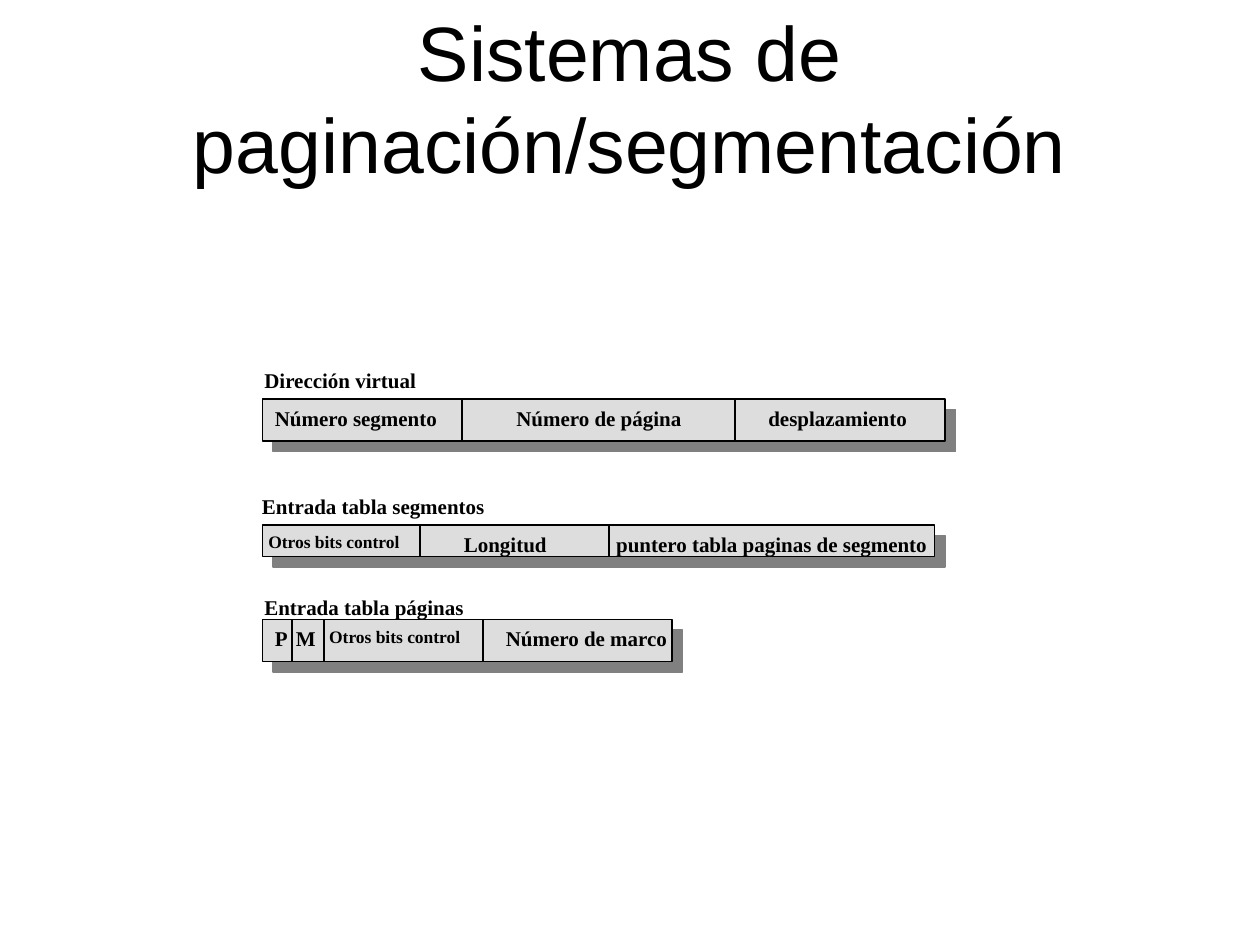
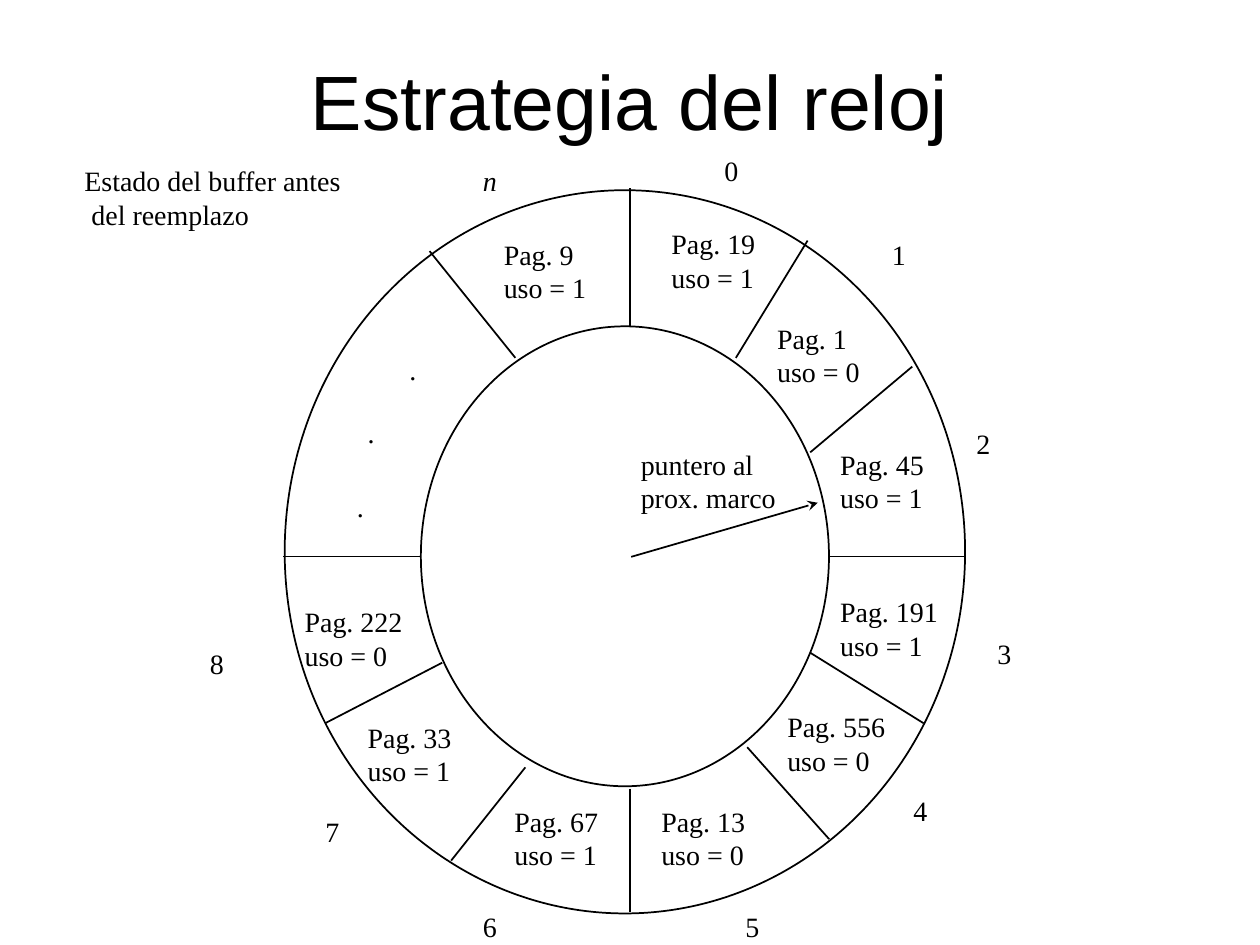
from lxml.etree import SubElement
from pptx import Presentation
from pptx.dml.color import RGBColor as RGB
from pptx.enum.shapes import MSO_CONNECTOR as CONN, MSO_SHAPE as SHAPE
from pptx.enum.text import MSO_ANCHOR as ANCHOR, MSO_AUTO_SIZE as AUTO, PP_ALIGN as ALIGN
from pptx.oxml.ns import qn
from pptx.util import Pt

COLORS = {"ink": "000000", "field": "DDDDDD", "shadow": "808080"}
TITLE_FONT, BODY_FONT = "Arial", "Times New Roman"

RECORDS = [
    dict(box=(150, 228, 390, 24), caption=("Dirección virtual", -6, -21.6, 102),
         dividers=[114, 270],
         fields=[("Número segmento", 0, 107.5, 12), ("Número de página", 138, 109.6, 12),
                 ("desplazamiento", 282, 94, 12)]),
    dict(box=(150, 300, 384, 18), caption=("Entrada tabla segmentos", -7.4, -21.6, 142.2),
         dividers=[90, 198],
         fields=[("Otros bits control", -3.8, 90, 10), ("Longitud", 108, 62.2, 12),
                 ("puntero tabla paginas de segmento", 195, 193, 12)]),
    dict(box=(150, 354, 234, 24), caption=("Entrada tabla páginas", -6, -18, 129.2),
         dividers=[17, 35, 126],
         fields=[("P", 0, 21.8, 12), ("M", 12, 26, 12),
                 ("Otros bits control", 31, 90, 10), ("Número de marco", 132, 107.5, 12)]),
]

FRAMES = [
    ("0", 244.1, -24.5, "19", 1, 213.9, 17.3),
    ("1", 339.9, 23.3, "1", 0, 274.3, 71.3),
    ("2", 388.1, 131.3, "45", 1, 310.3, 143.3),
    ("3", 400.1, 251.3, "191", 1, 310.3, 227.5),
    ("4", 352.1, 341.3, "556", 0, 280.1, 293.3),
    ("5", 256.1, 407.5, "13", 0, 208.1, 347.3),
    ("6", 106.1, 407.5, "67", 1, 124.1, 347.3),
    ("7", 16.1, 353.3, "33", 1, 40.3, 299.3),
    ("8", -49.9, 257.3, "222", 0, 4.3, 233.3),
    ("n", 106.1, -18.7, "9", 1, 118.1, 23.3),
]
SPOKES = [
    (197.3, 77.8, 197.3, -1.4), (257.8, 95.8, 298.8, 28.8), (300.3, 149.8, 358.6, 100.8),
    (311.8, 209.3, 388.8, 209.3), (300.3, 264.3, 365.1, 304.6), (264.3, 318.3, 311.1, 370.8),
    (197.3, 342, 197.3, 412.6), (137.5, 329.8, 95.1, 383.1), (90, 270, 23.1, 304.6),
    (77.8, 209.3, -1.2, 209.3), (131.8, 95.8, 82.8, 34.8),
]
POINTER = (198, 209.5, 304.6, 178.6)
DOTS = [(64.1, 89.3), (40.3, 125.3), (34.1, 167.3)]


def color(name):
    """Return the palette colour with this name."""
    return RGB.from_string(COLORS[name])


def add_text(s, text, x, y, w, h=None, size=16, font=BODY_FONT, bold=False, italic=False,
             align=ALIGN.LEFT, anchor=ANCHOR.TOP, wrap=False, last_indent=0):
    """Add a text box with one paragraph per line, as tall as its lines unless h is given."""
    lines = text.split("\n")
    height = h or len(lines) * size * 1.2 + 7.2
    tf = s.shapes.add_textbox(Pt(x), Pt(y), Pt(w), Pt(height)).text_frame
    tf.word_wrap = wrap
    tf.auto_size = AUTO.NONE if h else AUTO.SHAPE_TO_FIT_TEXT
    tf.vertical_anchor = anchor
    for i, line in enumerate(lines):
        p = tf.paragraphs[0] if i == 0 else tf.add_paragraph()
        p.alignment = align
        r = p.add_run()
        r.text = line
        f = r.font
        f.name, f.size, f.bold, f.italic = font, Pt(size), bold, italic
        f.color.rgb = color("ink")
    if last_indent:
        p._p.get_or_add_pPr().set("marL", str(Pt(last_indent)))


def add_title(s, text, x, y, w, h, anchor):
    """Add the slide title."""
    add_text(s, text, x, y, w, h, size=44, font=TITLE_FONT,
             align=ALIGN.CENTER, anchor=anchor, wrap=True)


def add_outline(s, kind, x, y, w, h, fill=None):
    """Add a thinly outlined shape, filled if a colour is named."""
    sp = s.shapes.add_shape(kind, Pt(x), Pt(y), Pt(w), Pt(h))
    sp.shadow.inherit = False
    if fill:
        sp.fill.solid()
        sp.fill.fore_color.rgb = color(fill)
    else:
        sp.fill.background()
    sp.line.color.rgb = color("ink")
    sp.line.width = Pt(1)
    return sp


def add_line(s, x1, y1, x2, y2, arrow=False):
    """Add a straight line, with a stealth head at its end if asked."""
    c = s.shapes.add_connector(CONN.STRAIGHT, Pt(x1), Pt(y1), Pt(x2), Pt(y2))
    c.line.color.rgb = color("ink")
    c.line.width = Pt(1)
    if arrow:
        SubElement(c.line._ln, qn("a:tailEnd"), type="stealth")
    SubElement(c._element.spPr, qn("a:effectLst"))


def add_hard_shadow(sp):
    """Give a shape a solid shadow down and to the right."""
    effects = sp._element.spPr.find(qn("a:effectLst"))
    shadow = SubElement(effects, qn("a:outerShdw"), blurRad="0", dist=str(Pt(8.5)),
                        dir=str(45 * 60000), algn="ctr", rotWithShape="0")
    SubElement(shadow, qn("a:srgbClr"), val=COLORS["shadow"])


def add_record(s, box, caption, dividers, fields):
    """Draw a captioned bar split into bit fields."""
    x, y, w, h = box
    add_hard_shadow(add_outline(s, SHAPE.RECTANGLE, x, y, w, h, fill="field"))
    text, dx, dy, text_w = caption
    add_text(s, text, x + dx, y + dy, text_w, size=12, bold=True)
    for dx in dividers:
        add_line(s, x + dx, y, x + dx, y + h)
    for text, dx, text_w, size in fields:
        add_text(s, text, x + dx, y, text_w, size=size, bold=True)


def add_clock(s, x, y, w, h):
    """Draw the ring of page frames and the pointer to the next one."""
    band = 77.8
    add_outline(s, SHAPE.OVAL, x, y, w, h)
    add_outline(s, SHAPE.OVAL, x + band, y + band, w - 2 * band, h - 150.5)
    for x1, y1, x2, y2 in SPOKES:
        add_line(s, x + x1, y + y1, x + x2, y + y2)
    for label, lx, ly, page, use, px, py in FRAMES:
        add_text(s, label, x + lx, y + ly, 22.6, italic=label == "n")
        add_text(s, f"Pag. {page}\nuso = {use}", x + px, y + py,
                 max(61.8, 46.8 + 8 * len(page)))
    for dx, dy in DOTS:
        add_text(s, ".", x + dx, y + dy, 18.4)
    x1, y1, x2, y2 = POINTER
    add_line(s, x + x1, y + y1, x + x2, y + y2, arrow=True)
    add_text(s, "puntero al\nprox. marco", x + 196.4, y + 143.3, 91.6)


def build_records_slide(s):
    """Build the slide on combined paging and segmentation."""
    add_title(s, "Sistemas de paginación/segmentación", 36, 21.6, 648, 90, ANCHOR.BOTTOM)
    for record in RECORDS:
        add_record(s, **record)


def build_clock_slide(s):
    """Build the slide on the clock strategy."""
    add_title(s, "Estrategia del reloj", 54, 12, 612, 90, ANCHOR.MIDDLE)
    add_text(s, "Estado del buffer antes\ndel reemplazo", 41.2, 90, 161.5, last_indent=4)
    add_clock(s, 162.7, 108.7, 388.8, 413.3)


def main():
    """Build and save the presentation."""
    prs = Presentation()
    prs.slide_width, prs.slide_height = Pt(720), Pt(540)
    for build in (build_records_slide, build_clock_slide):
        build(prs.slides.add_slide(prs.slide_layouts[6]))
    prs.save("out.pptx")


if __name__ == "__main__":
    main()
